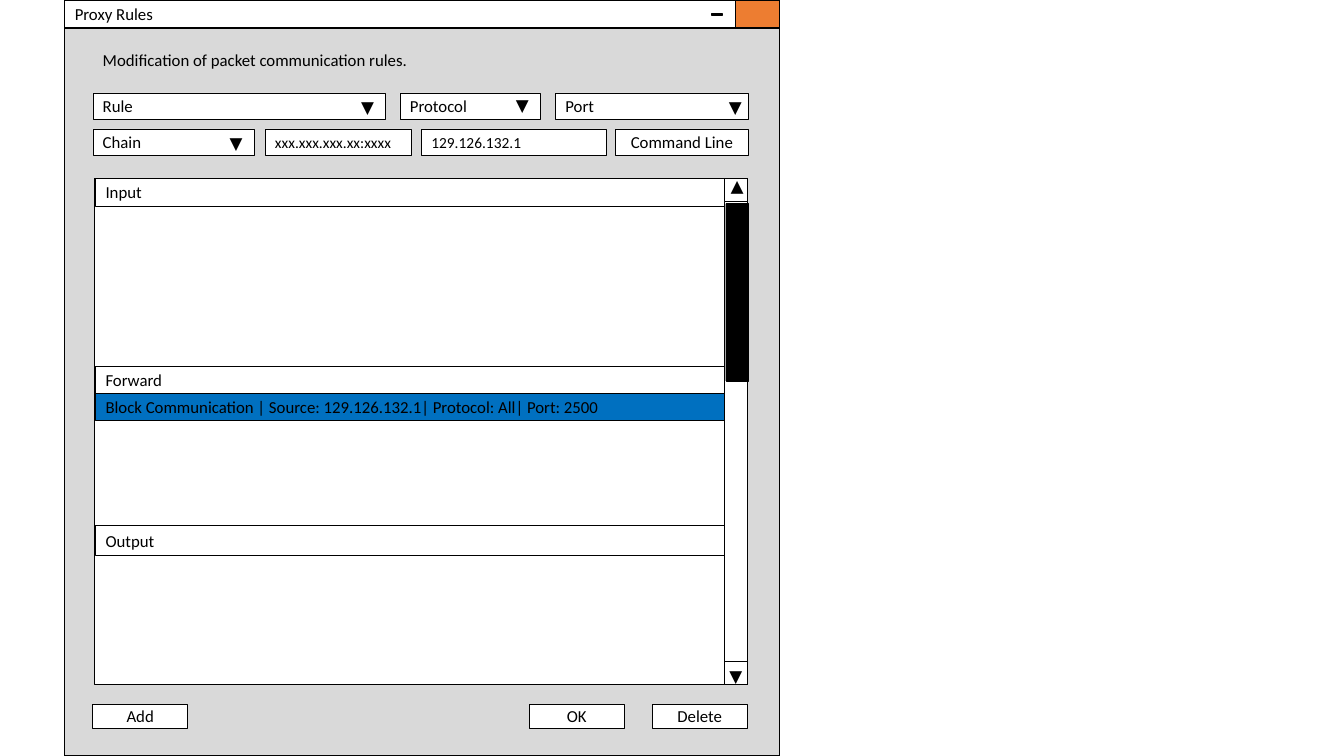
import dataclasses

import pptx
import pptx.dml.color
import pptx.enum.shapes
import pptx.enum.text
import pptx.util

SHAPES = pptx.enum.shapes.MSO_SHAPE
ALIGN = pptx.enum.text.PP_ALIGN
BLACK, WHITE, GREY, ORANGE, BLUE = "000000", "FFFFFF", "D9D9D9", "ED7D31", "0070C0"
FIELD_HEIGHT = 0.66


@dataclasses.dataclass
class Box:
    left: float
    top: float
    width: float
    height: float

    def inner(self, left, top, width, height):
        return Box(self.left + left, self.top + top, width, height)

    def lengths(self):
        return [pptx.util.Cm(value) for value in dataclasses.astuple(self)]


def paint(color_format, color):
    color_format.rgb = pptx.dml.color.RGBColor.from_string(color)


def style(shape, fill, line_width):
    if fill:
        shape.fill.solid()
        paint(shape.fill.fore_color, fill)
    else:
        shape.fill.background()
    paint(shape.line.color, BLACK)
    shape.line.width = pptx.util.Pt(line_width)


def write(shape, text, size=12, align=ALIGN.LEFT, wrap=True):
    frame = shape.text_frame
    frame.word_wrap = wrap
    frame.auto_size = pptx.enum.text.MSO_AUTO_SIZE.NONE
    frame.vertical_anchor = pptx.enum.text.MSO_ANCHOR.MIDDLE
    para = frame.paragraphs[0]
    para.alignment = align
    span = para.add_run()
    span.text = text
    span.font.name = "Calibri"
    span.font.size = pptx.util.Pt(size)
    paint(span.font.color, BLACK)


def add_panel(page, box, fill=WHITE, line_width=0.25, kind=SHAPES.RECTANGLE):
    panel = page.shapes.add_shape(kind, *box.lengths())
    panel.shadow.inherit = False
    style(panel, fill, line_width)
    return panel


def add_text(page, box, text, wrap=True):
    text_box = page.shapes.add_textbox(*box.lengths())
    write(text_box, text, wrap=wrap)
    return text_box


def add_arrow(page, box, left, top):
    return add_text(page, box.inner(left, top, 0.86, 0.76), "▼", wrap=False)


def add_title_bar(page, box):
    title_box = box.inner(0, 0, 16.91, box.height)
    title = page.shapes.title
    title.left, title.top, title.width, title.height = title_box.lengths()
    style(title, WHITE, 1)
    write(title, "Proxy Rules")
    add_panel(page, box.inner(title_box.width, 0, 1.1, box.height), ORANGE, 1)
    add_panel(page, box.inner(16.25, 0.3, 0.38, 0.13), BLACK, 1, SHAPES.MATH_MINUS)


def add_fields(page, box):
    upper, lower = 0, 0.91
    dropdowns = [
        ("Rule", 0, upper, 7.37, 0, -0.03),
        ("Protocol", 7.74, upper, 3.53, 0, -0.08),
        ("Port", 11.66, upper, 4.85, 0.13, -0.03),
        ("Chain", 0, lower, 4.06, 0, -0.03),
    ]
    for label, left, top, width, shift, rise in dropdowns:
        field = box.inner(left, top, width, FIELD_HEIGHT)
        write(add_panel(page, field), label)
        add_arrow(page, field, width - 0.86 + shift, rise)
    addresses = [("xxx.xxx.xxx.xx:xxxx", 4.34, 3.68), ("129.126.132.1", 8.28, 4.65)]
    for label, left, width in addresses:
        write(add_panel(page, box.inner(left, lower, width, FIELD_HEIGHT)), label, 11)
    command = add_panel(page, box.inner(13.18, lower, 3.33, FIELD_HEIGHT), WHITE, 0.5)
    write(command, "Command Line", align=ALIGN.CENTER)


def add_rule_list(page, box):
    add_panel(page, box, WHITE, 0.5)
    rule = "Block Communication | Source: 129.126.132.1| Protocol: All| Port: 2500"
    rows = [
        ("Input", 0, 0.69, None),
        ("Forward", 4.72, 0.69, None),
        (rule, 5.41, 0.69, BLUE),
        ("Output", 8.74, 0.76, None),
    ]
    for label, top, height, fill in rows:
        write(add_panel(page, box.inner(0.02, top, box.width, height), fill), label)


def add_scrollbar(page, box):
    add_panel(page, box)
    add_panel(page, box.inner(0.04, 0.63, 0.56, 4.47), BLACK)
    for top, rise, turn in [(0, -0.08, 180), (box.height - box.width, -0.03, 0)]:
        button = box.inner(0, top, box.width, box.width)
        add_panel(page, button)
        add_arrow(page, button, -0.12, rise).rotation = turn


def add_buttons(page, box):
    for label, left in [("Add", 0), ("OK", 11), ("Delete", 14.1)]:
        button = add_panel(page, box.inner(left, 0, 2.39, box.height), WHITE, 0.5)
        write(button, label, align=ALIGN.CENTER)


def add_window(page, box):
    bar_height = 0.71
    add_panel(page, box.inner(0, bar_height, box.width, box.height - bar_height), GREY, 1)
    add_title_bar(page, box.inner(0, 0, box.width, bar_height))
    description = box.inner(0.71, 1.19, 11.28, FIELD_HEIGHT)
    add_text(page, description, "Modification of packet communication rules.")
    add_fields(page, box.inner(0.71, 2.34, 16.51, 1.57))
    add_rule_list(page, box.inner(0.76, 4.5, 15.88, 12.75))
    add_scrollbar(page, box.inner(16.62, 4.5, 0.58, 12.75))
    add_buttons(page, box.inner(0.71, 17.75, 16.49, 0.6))


def main():
    deck = pptx.Presentation()
    deck.slide_width = pptx.util.Cm(33.87)
    deck.slide_height = pptx.util.Cm(19.05)
    page = deck.slides.add_slide(deck.slide_layouts[5])
    add_window(page, Box(1.63, 0, 18.01, 19.05))
    deck.save("out.pptx")


if __name__ == "__main__":
    main()
